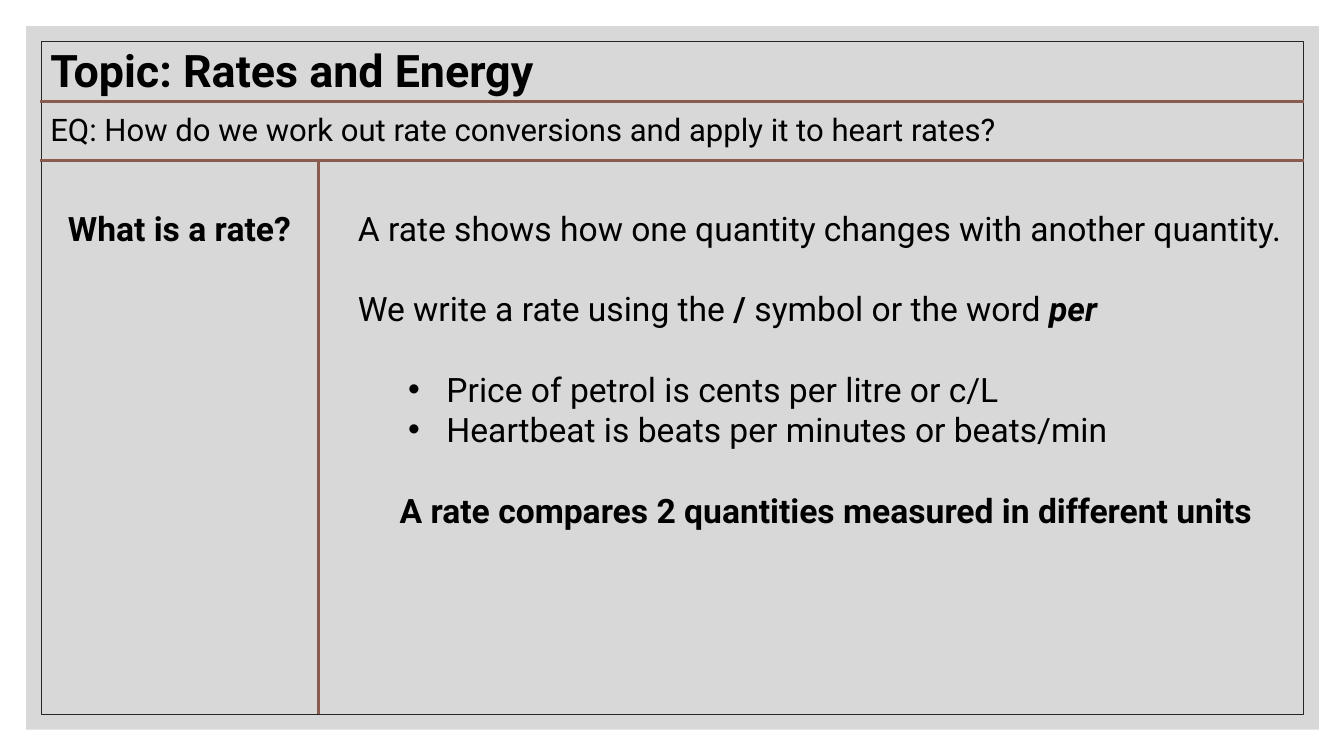
"""Build the rates and energy note slide."""
import pptx
import pptx.dml.color
import pptx.enum.shapes
import pptx.enum.text
import pptx.oxml.ns
import pptx.util
from lxml import etree

Inches, Pt = pptx.util.Inches, pptx.util.Pt
ALIGN = pptx.enum.text.PP_ALIGN
ANCHOR = pptx.enum.text.MSO_ANCHOR
qn = pptx.oxml.ns.qn

FONT = "Roboto"
INK, BROWN, GREY, EDGE = "000000", "8A5C4F", "BFBFBF", "262626"
GAP = 28.8

TITLE = [{"runs": [("Topic: Rates and Energy", "b")], "line": 0.9}]
ASK = [{"runs": [("EQ: How do we work out rate conversions and apply it to heart rates?", "")],
        "line": 1.1}]
CUE = [{"runs": [("What is a rate?", "b")], "align": ALIGN.CENTER}]
NOTES = [
    {"runs": [("A rate shows how one quantity changes with another quantity.", "")]},
    {"runs": [("We write a rate using the", ""), (" / ", "b"),
              ("symbol or the word ", ""), ("per", "bi")], "gap": GAP},
    {"runs": [("Price of petrol is cents per litre or c/L", "")], "gap": GAP, "dot": True},
    {"runs": [("Heartbeat is beats per minutes or beats/min", "")], "dot": True},
    {"runs": [("A rate compares 2 quantities measured in different units", "b")],
     "gap": GAP, "align": ALIGN.CENTER},
]

LEFT, RIGHT, SPLIT = 0.4, 12.93, 3.16
HEAD, RULE, FOOT, BODY = 1.01, 1.59, 7.08, 2.01
RULES = [(LEFT, HEAD, RIGHT, HEAD), (LEFT, RULE, RIGHT, RULE), (SPLIT, RULE, SPLIT, FOOT)]


def color(code):
    return pptx.dml.color.RGBColor.from_string(code)


def panel(shapes, left, top, width, height):
    box = shapes.add_shape(pptx.enum.shapes.MSO_SHAPE.RECTANGLE,
                           *map(Inches, (left, top, width, height)))
    box.shadow.inherit = False
    return box


def rule(shapes, ends):
    line = shapes.add_connector(pptx.enum.shapes.MSO_CONNECTOR.STRAIGHT, *map(Inches, ends))
    line.line.color.rgb = color(BROWN)
    line.line.width = Pt(2.25)
    etree.SubElement(line.element.spPr, qn("a:effectLst"))


def bullet(para):
    props = para._p.get_or_add_pPr()
    props.set("marL", str(Inches(0.88)))
    props.set("indent", str(Inches(-0.38)))
    etree.SubElement(props, qn("a:buFont")).set("typeface", "Arial")
    etree.SubElement(props, qn("a:buChar")).set("char", "•")


def write(shape, place, paras, size, anchor=ANCHOR.TOP):
    shape.left, shape.top, shape.width, shape.height = map(Inches, place)
    frame = shape.text_frame
    frame.word_wrap = True
    frame.auto_size = pptx.enum.text.MSO_AUTO_SIZE.NONE
    frame.vertical_anchor = anchor
    for i, item in enumerate(paras):
        para = frame.add_paragraph() if i else frame.paragraphs[0]
        if item.get("dot"):
            para.level = 1
            bullet(para)
        para.alignment = item.get("align", ALIGN.LEFT)
        para.line_spacing = item.get("line", 1.0)
        para.space_before = Pt(item.get("gap", 0))
        for text, style in item["runs"]:
            run = para.add_run()
            run.text = text
            run.font.name, run.font.size = FONT, Pt(size)
            run.font.bold, run.font.italic = "b" in style, "i" in style
            run.font.color.rgb = color(INK)


def main():
    deck = pptx.Presentation()
    deck.slide_width, deck.slide_height = Inches(13.33), Inches(7.5)
    slide = deck.slides.add_slide(deck.slide_layouts[5])
    shapes = slide.shapes

    back = panel(shapes, 0.26, 0.26, 12.82, 6.98)
    back.fill.solid()
    back.fill.fore_color.rgb = color(GREY)
    tint = back.element.spPr.find(".//" + qn("a:srgbClr"))
    etree.SubElement(tint, qn("a:alpha")).set("val", "60000")
    back.line.fill.background()

    frame = panel(shapes, 0.41, 0.41, 12.52, 6.68)
    frame.fill.background()
    frame.line.color.rgb = color(EDGE)
    frame.line.width = Pt(0.5)

    for ends in RULES:
        rule(shapes, ends)

    title = shapes.title
    title.element.getparent().append(title.element)
    write(title, (LEFT, 0.42, 5.22, 0.6), TITLE, 32, ANCHOR.MIDDLE)
    for place, paras, size in [
        ((LEFT, HEAD, 10.38, RULE - HEAD), ASK, 22.2),
        ((LEFT, BODY, SPLIT - LEFT, 0.5), CUE, 24),
        ((3.45, BODY, RIGHT - 3.45, 3.74), NOTES, 24),
    ]:
        write(shapes.add_textbox(0, 0, 0, 0), place, paras, size)
    deck.save("out.pptx")


if __name__ == "__main__":
    main()
